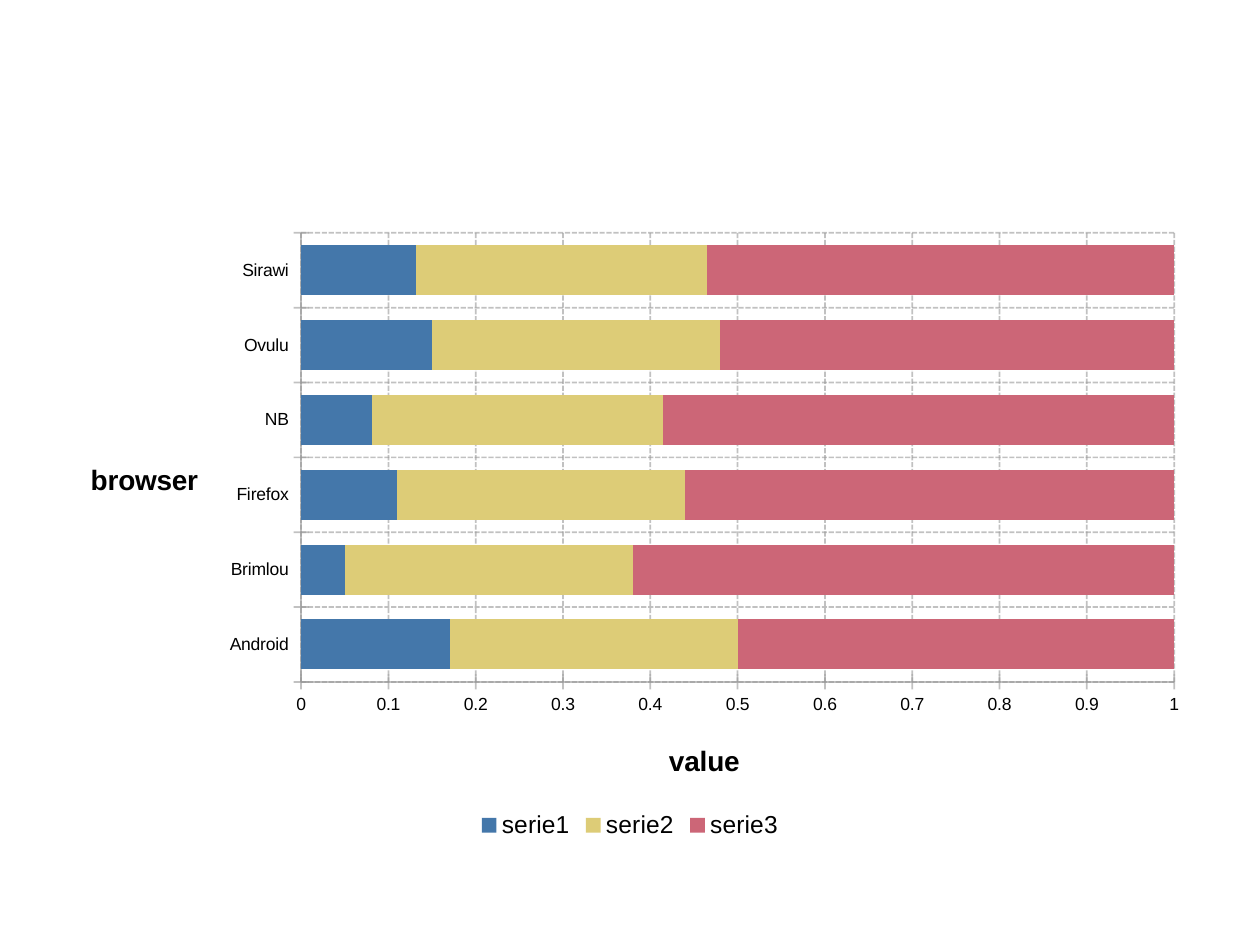
from lxml import etree
from pptx import Presentation, util as u
from pptx.chart import data as cd
from pptx.dml import color as dc
from pptx.enum import chart as ec, dml
from pptx.oxml import ns

HEX = {"blue": "4477AA", "sand": "DDCC77", "rose": "CC6677",
       "grey": "999999", "ink": "000000"}


def style(font, size, bold=False):
    font.name = "Arial"
    font.size = u.Pt(size)
    font.bold = bold
    font.color.rgb = dc.RGBColor.from_string(HEX["ink"])


def place(node, slot, **spots):
    """Give a chart part a manual layout, in fractions of the chart."""
    for old in node.findall(ns.qn("c:layout")):
        node.remove(old)
    lay = etree.Element(ns.qn("c:layout"))
    man = etree.SubElement(lay, ns.qn("c:manualLayout"))
    if "w" in spots:
        etree.SubElement(man, ns.qn("c:layoutTarget")).set("val", "inner")
    for key in "xy":
        etree.SubElement(man, ns.qn(f"c:{key}Mode")).set("val", "edge")
    for key, val in spots.items():
        etree.SubElement(man, ns.qn(f"c:{key}")).set("val", str(val))
    node.insert(slot, lay)


# Slide
prs = Presentation()
prs.slide_width, prs.slide_height = u.Inches(10), u.Inches(7.5)
slide = prs.slides.add_slide(prs.slide_layouts[6])

# Chart values
data = cd.CategoryChartData()
data.categories = ["Android", "Brimlou", "Firefox", "NB", "Ovulu", "Sirawi"]
data.add_series("serie1", [17, 5, 11, 8, 15, 13])
data.add_series("serie2", [33] * 6)
data.add_series("serie3", [50, 62, 56, 58, 52, 53])

# Stacked bars
chart = slide.shapes.add_chart(
    ec.XL_CHART_TYPE.BAR_STACKED_100, u.Inches(0.5), u.Inches(1.75),
    u.Inches(9), u.Inches(4.95), data).chart
chart.has_title = False
style(chart.font, 10)
plot = chart.plots[0]
plot.gap_width, plot.overlap = 50, 100
plot.vary_by_categories = False
for bar, hue in zip(plot.series, ("blue", "sand", "rose")):
    bar.format.fill.solid()
    bar.format.fill.fore_color.rgb = dc.RGBColor.from_string(HEX[hue])
area = chart._chartSpace.find(".//" + ns.qn("c:plotArea"))
place(area, 0, x=0.21, y=0.02, w=0.77, h=0.72)

# Axes: titles, ticks, lines and dashed grid
for axis, name, x, y in ((chart.category_axis, "browser", 0.02, 0.38),
                         (chart.value_axis, "value", 0.53, 0.83)):
    axis.has_title = True
    frame = axis.axis_title.text_frame
    run = frame.paragraphs[0].add_run()
    run.text = name
    style(run.font, 16, True)
    title = axis.axis_title._element
    title.find(".//" + ns.qn("a:bodyPr")).set("rot", "0")
    place(title, 1, x=x, y=y)
    style(axis.tick_labels.font, 10)
    axis.tick_labels.number_format = "General"
    axis.tick_labels.number_format_is_linked = False
    axis.major_tick_mark = ec.XL_TICK_MARK.CROSS
    axis.minor_tick_mark = ec.XL_TICK_MARK.NONE
    axis.has_major_gridlines = True
    grid = axis.major_gridlines.format.line
    for line, dash in ((axis.format.line, dml.MSO_LINE.SOLID),
                       (grid, dml.MSO_LINE.SQUARE_DOT)):
        line.width = u.Pt(1)
        line.color.rgb = dc.RGBColor.from_string(HEX["grey"])
        line.dash_style = dash
    for part in (axis._element.find(ns.qn("c:spPr")),
                 axis._element.find(ns.qn("c:majorGridlines"))):
        tint = part.find(".//" + ns.qn("a:srgbClr"))
        etree.SubElement(tint, ns.qn("a:alpha")).set("val", "60000")
chart.value_axis.minimum_scale = 0
chart.value_axis.maximum_scale = 1
chart.value_axis.major_unit = 0.1

# Legend
chart.has_legend = True
chart.legend.position = ec.XL_LEGEND_POSITION.BOTTOM
chart.legend.include_in_layout = False
style(chart.legend.font, 14)

prs.save("out.pptx")
